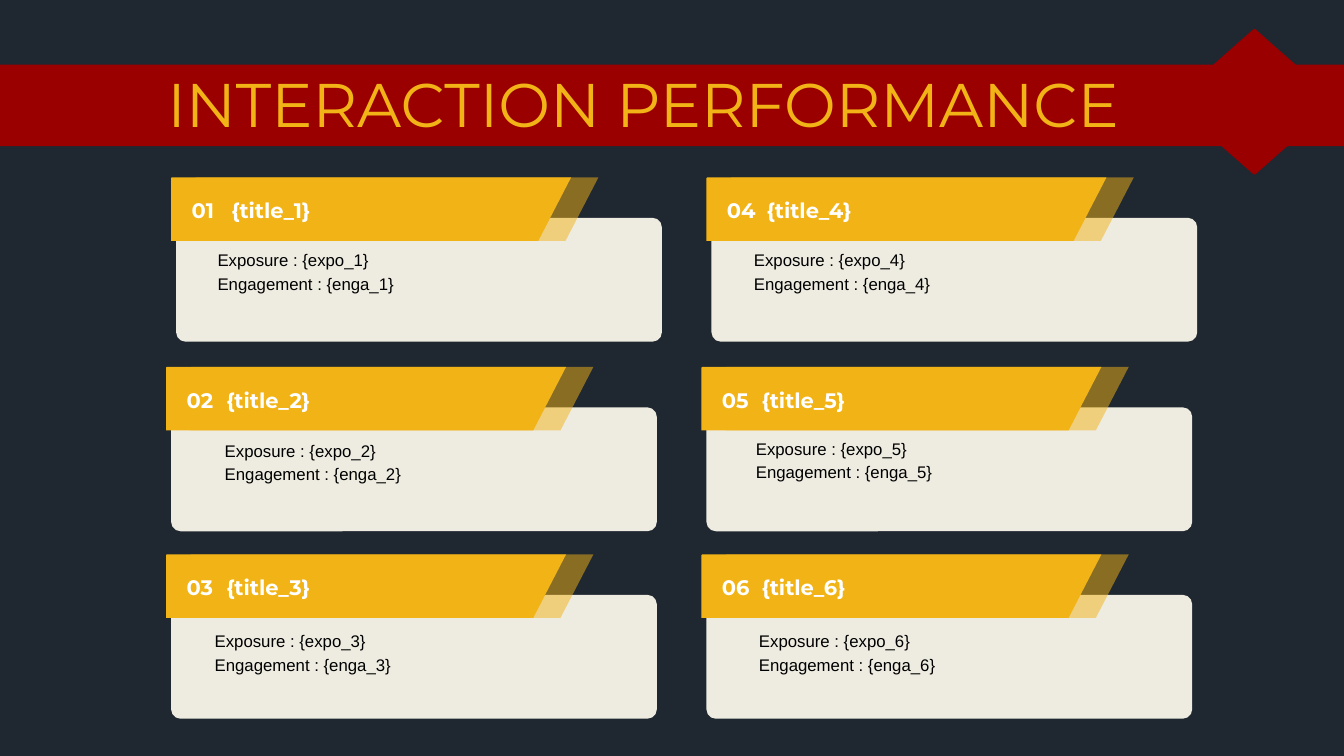
import dataclasses

import lxml.etree
import pptx
import pptx.dml.color
import pptx.enum.shapes
import pptx.enum.text
import pptx.oxml.ns
import pptx.util

Pt = pptx.util.Pt
Shape = pptx.enum.shapes.MSO_SHAPE
Anchor = pptx.enum.text.MSO_ANCHOR


@dataclasses.dataclass(frozen=True)
class Theme:
    """Colours, fonts and type sizes of the slide."""
    night: str = "1F2731"
    red: str = "9A0000"
    gold: str = "F1B316"
    cream: str = "EEECE1"
    white: str = "FFFFFF"
    black: str = "000000"
    display: str = "Montserrat"
    body: str = "Arial"
    title_size: float = 44
    label_size: float = 15
    body_size: float = 12


THEME = Theme()
COLUMN_STEP = 382.4
ROWS = [(122.2, 126.7), (118.6, 262.1), (118.6, 396)]
BODY_OFFSETS = [(26.1, 48.3), (34.8, 49), (27.6, 51.1),
                (26.8, 48.3), (31.8, 47.5), (34, 51.1)]


def paint(shape, colour, alpha=None):
    """Give a shape a flat fill without outline or shadow."""
    shape.shadow.inherit = False
    shape.fill.solid()
    shape.fill.fore_color.rgb = pptx.dml.color.RGBColor.from_string(colour)
    shape.line.fill.background()
    if alpha is not None:
        tag = pptx.oxml.ns.qn("a:srgbClr")
        swatch = next(shape.fill._xPr.iter(tag))
        lxml.etree.SubElement(swatch, pptx.oxml.ns.qn("a:alpha"), val=str(alpha * 1000))


def add_text(page, box, lines, font, size, colour, bold=False,
             insets=(0, 0, 0, 0), anchor=Anchor.TOP, gap=0):
    """Add a text box with one paragraph per line."""
    frame = page.shapes.add_textbox(*map(Pt, box)).text_frame
    frame.word_wrap = True
    frame.vertical_anchor = anchor
    (frame.margin_left, frame.margin_top,
     frame.margin_right, frame.margin_bottom) = map(Pt, insets)
    for index, line in enumerate(lines):
        para = frame.paragraphs[0] if index == 0 else frame.add_paragraph()
        para.text = line
        para.font.name = font
        para.font.size = Pt(size)
        para.font.bold = bold
        para.font.color.rgb = pptx.dml.color.RGBColor.from_string(colour)
        if index:
            para.space_before = Pt(gap)


def add_banner(page, left, top, width, height):
    """Place the red title band with its diamond."""
    band = page.shapes.add_shape(Shape.RECTANGLE, *map(Pt, (left, top, width, height)))
    paint(band, THEME.red)
    diamond = page.shapes.add_shape(
        Shape.DIAMOND, *map(Pt, (left + 838.1, top - 24.5, 115.9, 102.2)))
    paint(diamond, THEME.red)
    diamond.line.color.rgb = pptx.dml.color.RGBColor.from_string(THEME.red)
    diamond.line.width = Pt(2)
    add_text(page, (left + 119.5, top + 0.7, 735.8, 53.6),
             ["INTERACTION PERFORMANCE"], THEME.display, THEME.title_size, THEME.gold)


def add_ribbon(page, left, top, width, height, alpha=None):
    """Draw a gold ribbon with a slanted right end."""
    slant, corner = 23.5, 0.6
    points = [(left, top + corner), (left + corner, top), (left + width, top),
              (left + width - slant, top + height), (left, top + height)]
    start, *rest = [(Pt(x), Pt(y)) for x, y in points]
    outline = page.shapes.build_freeform(*start, scale=1.0)
    outline.add_line_segments(rest, close=True)
    paint(outline.convert_to_shape(), THEME.gold, alpha)


def add_card(page, left, top, number, body_offset):
    """Place one numbered card with ribbon, heading and figures."""
    panel = page.shapes.add_shape(
        Shape.ROUNDED_RECTANGLE, *map(Pt, (left + 3.6, top + 28.9, 347, 88.5)))
    panel.adjustments[0] = 0.076
    paint(panel, THEME.cream)
    add_ribbon(page, left + 17.3, top, 288, 45.4, alpha=50)
    add_ribbon(page, left, top, 285.8, 45.4)
    for offset, width, label in ((7.6, 41.8, f"{number:02}"),
                                 (36, 259.2, f"{{title_{number}}}")):
        add_text(page, (left + offset, top + 9.4, width, 28.1), [label],
                 THEME.display, THEME.label_size, THEME.white, bold=True,
                 insets=(7.2, 0, 0, 0), anchor=Anchor.MIDDLE)
    add_text(page, (left + body_offset[0], top + body_offset[1], 274.3, 38.2),
             [f"Exposure : {{expo_{number}}}", f"Engagement : {{enga_{number}}}"],
             THEME.body, THEME.body_size, THEME.black,
             insets=(7.2, 3.6, 7.2, 3.6), gap=2.4)


def main():
    """Build and save the slide."""
    deck = pptx.Presentation()
    deck.slide_width, deck.slide_height = Pt(960), Pt(540)
    page = deck.slides.add_slide(deck.slide_layouts[6])
    page.background.fill.solid()
    page.background.fill.fore_color.rgb = pptx.dml.color.RGBColor.from_string(THEME.night)
    add_banner(page, 0, 46.1, 960, 58.3)
    for index, body_offset in enumerate(BODY_OFFSETS):
        column, row = divmod(index, len(ROWS))
        left, top = ROWS[row]
        add_card(page, left + column * COLUMN_STEP, top, index + 1, body_offset)
    deck.save("out.pptx")


if __name__ == "__main__":
    main()
